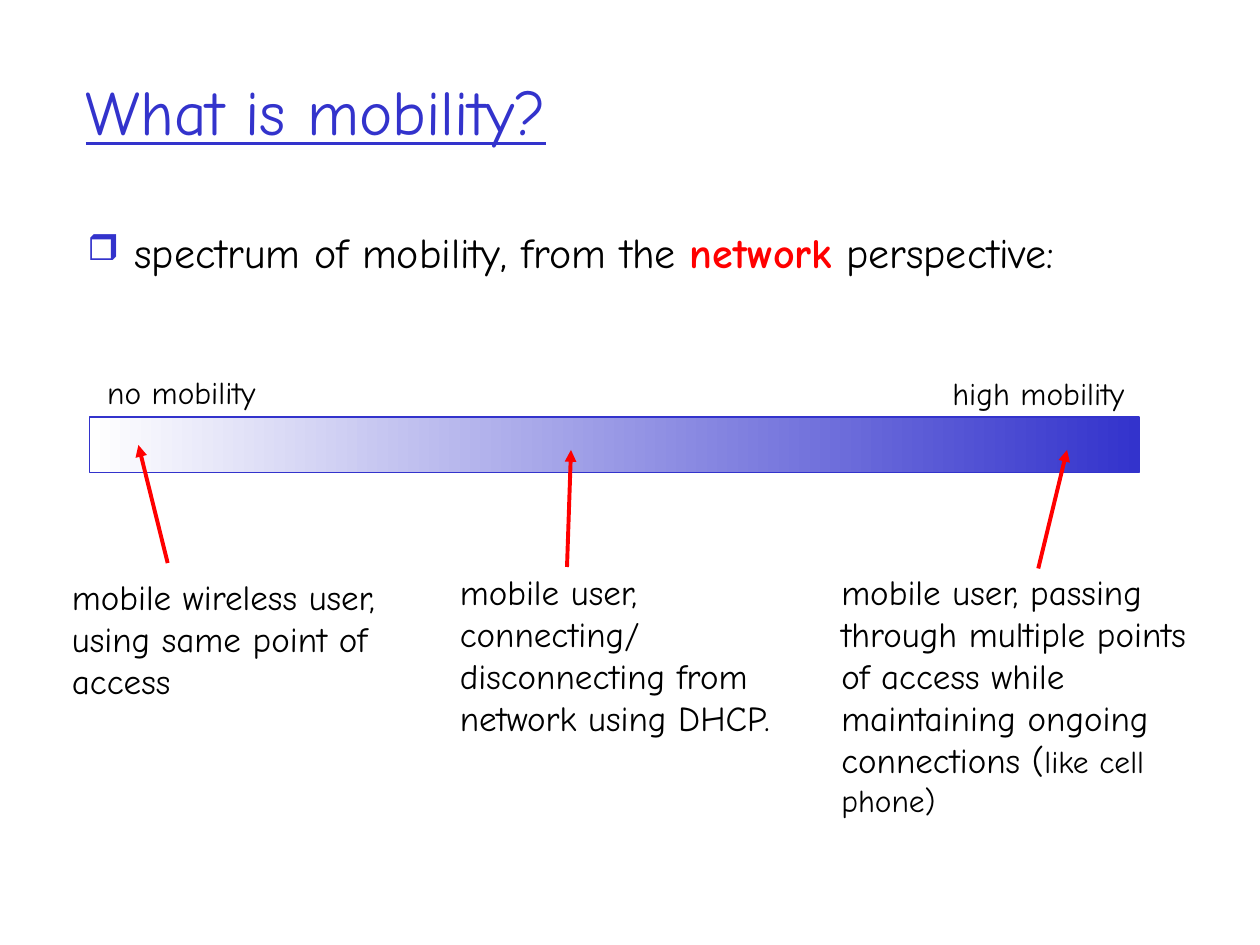
"""Build a slide that shows the spectrum of mobility as a gradient bar with notes."""
from dataclasses import dataclass

from lxml import etree
from pptx import Presentation
from pptx.dml.color import RGBColor
from pptx.enum.shapes import MSO_CONNECTOR, MSO_SHAPE
from pptx.enum.text import MSO_ANCHOR, MSO_AUTO_SIZE
from pptx.oxml.ns import qn
from pptx.util import Cm, Pt

STRAIGHT = MSO_CONNECTOR.STRAIGHT
RECTANGLE = MSO_SHAPE.RECTANGLE
TOP, MIDDLE = MSO_ANCHOR.TOP, MSO_ANCHOR.MIDDLE
FIXED, GROW = MSO_AUTO_SIZE.NONE, MSO_AUTO_SIZE.SHAPE_TO_FIT_TEXT


@dataclass(frozen=True)
class Theme:
    font: str = "Comic Neue"
    blue: str = "3333CC"
    red: str = "FF0000"
    black: str = "000000"
    white: str = "FFFFFF"
    title: int = 36
    body: int = 24
    note: int = 20
    label: int = 18


THEME = Theme()

TITLE = "What is mobility?"
TITLE_BOX = (1.48, 0.64, 21.59, 3.18)
LEAD = [
    "spectrum of mobility, from the ",
    ("network", {"color": THEME.red, "bold": True}),
    " perspective:",
]
LEAD_BOX = (1.51, 4.45, 22.78, 1.6)
BAR_BOX = (1.8, 8.41, 21.16, 1.12)
LABELS = [
    ("no mobility", (1.91, 7.39, 3.55, 1.02)),
    ("high mobility", (18.95, 7.42, 4.05, 1.02)),
]
NOTES = [
    {
        "paragraphs": [["mobile wireless user,"], ["using same point of access"]],
        "box": (1.2, 11.47, 7.39, 2.79),
        "arrow": (3.38, 11.35, 2.79, 8.97),
    },
    {
        "paragraphs": [["mobile user, connecting/ disconnecting from network using DHCP."]],
        "box": (9.02, 11.38, 6.76, 4.5),
        "arrow": (11.43, 11.43, 11.51, 9.07),
    },
    {
        "paragraphs": [[
            "mobile user, passing through multiple points of access "
            "while maintaining ongoing connections (",
            ("like cell phone)", {"size": THEME.label}),
        ]],
        "box": (16.71, 11.38, 7.92, 5.26),
        "arrow": (20.93, 11.46, 21.51, 9.07),
    },
]


def cm(values):
    return [Cm(v) for v in values]


def add_text(s, paragraphs, box, anchor=TOP, wrap=True, fit=FIXED, **base):
    sp = s.shapes.add_textbox(*cm(box))
    tf = sp.text_frame
    tf.word_wrap = wrap
    tf.auto_size = fit
    tf.vertical_anchor = anchor
    for i, runs in enumerate(paragraphs):
        p = tf.paragraphs[0] if i == 0 else tf.add_paragraph()
        for run in runs:
            text, extra = (run, {}) if isinstance(run, str) else run
            style = {"color": THEME.black, **base, **extra}
            r = p.add_run()
            r.text = text
            r.font.name = THEME.font
            r.font.size = Pt(style["size"])
            r.font.bold = style.get("bold", False)
            r.font.underline = style.get("underline", False)
            r.font.color.rgb = RGBColor.from_string(style["color"])
    return sp


def add_bullet(p, char, color, percent, indent):
    p.space_before = Pt(6)
    pPr = p._p.get_or_add_pPr()
    pPr.set("marL", str(indent))
    pPr.set("indent", str(-indent))
    clr = etree.SubElement(pPr, qn("a:buClr"))
    etree.SubElement(clr, qn("a:srgbClr"), val=color)
    etree.SubElement(pPr, qn("a:buSzPct"), val=str(percent * 1000))
    etree.SubElement(pPr, qn("a:buChar"), char=char)


def add_bar(s, box):
    sp = s.shapes.add_shape(RECTANGLE, *cm(box))
    sp.shadow.inherit = False
    sp.fill.gradient()
    sp.fill.gradient_angle = 0
    for stop, color, pos in zip(sp.fill.gradient_stops, (THEME.white, THEME.blue), (0, 1)):
        stop.color.rgb = RGBColor.from_string(color)
        stop.position = pos
    sp.line.color.rgb = RGBColor.from_string(THEME.blue)
    sp.line.width = Pt(0.75)


def add_arrow(s, ends):
    sp = s.shapes.add_connector(STRAIGHT, *cm(ends))
    sp.line.color.rgb = RGBColor.from_string(THEME.red)
    sp.line.width = Pt(2.25)
    spPr = sp._element.spPr
    etree.SubElement(spPr.find(qn("a:ln")), qn("a:tailEnd"), type="triangle")
    etree.SubElement(spPr, qn("a:effectLst"))


def main():
    prs = Presentation()
    prs.slide_width, prs.slide_height = Cm(25.4), Cm(19.05)
    s = prs.slides.add_slide(prs.slide_layouts[6])

    add_text(s, [[TITLE]], TITLE_BOX, anchor=MIDDLE,
             size=THEME.title, color=THEME.blue, underline=True)
    lead = add_text(s, [LEAD], LEAD_BOX, size=THEME.body)
    add_bullet(lead.text_frame.paragraphs[0], "❒", THEME.blue, 85, Cm(0.95))

    add_bar(s, BAR_BOX)
    for text, box in LABELS:
        add_text(s, [[text]], box, wrap=False, fit=GROW, size=THEME.label)
    for note in NOTES:
        add_text(s, note["paragraphs"], note["box"], fit=GROW, size=THEME.note)
        add_arrow(s, note["arrow"])

    prs.save("out.pptx")


if __name__ == "__main__":
    main()
